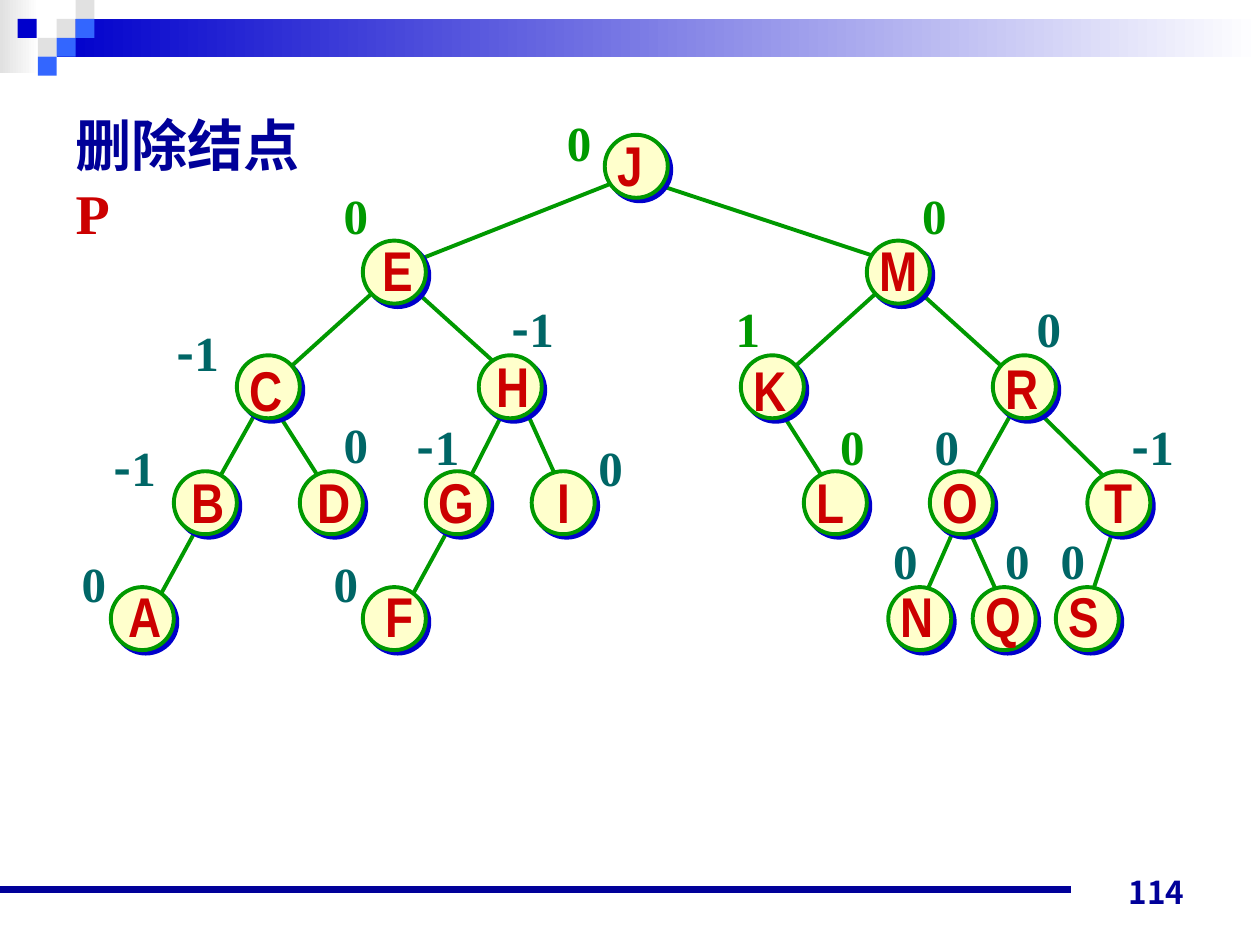
from lxml import etree
from pptx import Presentation
from pptx.dml.color import RGBColor
from pptx.enum.shapes import MSO_CONNECTOR, MSO_SHAPE
from pptx.enum.text import MSO_ANCHOR, MSO_AUTO_SIZE, PP_ALIGN
from pptx.oxml.ns import qn
from pptx.util import Inches, Pt

STRAIGHT, RECT, OVAL = MSO_CONNECTOR.STRAIGHT, MSO_SHAPE.RECTANGLE, MSO_SHAPE.OVAL

COLORS = {
    "navy": "000099", "blue": "0000CC", "sky": "3366FF", "grey": "E1E1E1",
    "white": "FFFFFF", "red": "CC0000", "green": "009900", "teal": "006666",
    "cream": "FFFFCC",
}
SERIF, NARROW, CJK, CJK_NUMBER = (
    "Times New Roman", "Arial Narrow", "Noto Sans CJK SC", "Noto Sans CJK JP")

# Header: gradient bars and small squares
BARS = [("grey", 0, 0, 0.31, 0.58), ("blue", 0.45, 0.15, 9.55, 0.3)]
SQUARE = 0.15
SQUARES = [("grey", 0.45, 0.15), ("grey", 0.6, 0), ("sky", 0.6, 0.15),
           ("grey", 0.3, 0.3), ("blue", 0.14, 0.15), ("sky", 0.45, 0.3),
           ("sky", 0.3, 0.45)]

# Tree nodes by level: letter, circle left, letter left, letter width, letter top
NODE_SIZE = 0.5
LEVELS = [
    (1.07, [("J", 4.8, 4.8, 0.4, 0.99)]),
    (1.91, [("E", 2.88, 2.94, 0.44, 1.82), ("M", 6.88, 6.88, 0.51, 1.82)]),
    (2.82, [("C", 1.88, 1.88, 0.47, 2.77), ("H", 3.8, 3.84, 0.47, 2.74),
            ("K", 5.88, 5.88, 0.47, 2.77), ("R", 7.88, 7.88, 0.47, 2.76)]),
    (3.74, [("B", 1.38, 1.42, 0.47, 3.66), ("D", 2.38, 2.42, 0.47, 3.66),
            ("G", 3.38, 3.38, 0.48, 3.66), ("I", 4.22, 4.33, 0.3, 3.66),
            ("L", 6.38, 6.38, 0.58, 3.66), ("O", 7.38, 7.38, 0.48, 3.66),
            ("T", 8.63, 8.67, 0.42, 3.66)]),
    (4.66, [("A", 0.88, 0.92, 0.47, 4.57), ("F", 2.88, 2.96, 0.42, 4.57),
            ("N", 7.05, 7.05, 0.47, 4.57), ("Q", 7.72, 7.72, 0.48, 4.57),
            ("S", 8.38, 8.38, 0.44, 4.57)]),
]

# Branches: x, y at the parent, then x, y at the child
BRANCHES = [
    (4.97, 1.41, 3.3, 2.07), (5.05, 1.41, 7.05, 2.07),      # J-E, J-M
    (3.05, 2.24, 2.22, 2.99), (3.22, 2.24, 4.05, 2.99),     # E-C, E-H
    (7.05, 2.24, 6.22, 2.99), (7.3, 2.32, 8.13, 3.07),      # M-K, M-R
    (2.05, 3.24, 1.63, 3.99), (2.13, 3.16, 2.55, 3.82),     # C-B, C-D
    (4.05, 3.16, 3.63, 3.99), (4.13, 3.16, 4.47, 3.91),     # H-G, H-I
    (6.13, 3.16, 6.55, 3.82),                               # K-L
    (8.05, 3.24, 7.63, 3.99), (8.13, 3.16, 8.8, 3.82),      # R-O, R-T
    (1.63, 4.07, 1.22, 4.82), (3.63, 4.07, 3.22, 4.82),     # B-A, G-F
    (7.63, 4.07, 7.3, 4.82), (7.63, 4.07, 7.93, 4.74),      # O-N, O-Q
    (8.88, 4.07, 8.63, 4.82),                               # T-S
]

# Balance factors: value, left, top
BALANCES = {
    "green": [("0", 4.4, 0.84), ("0", 2.63, 1.42), ("0", 7.22, 1.42),
              ("1", 5.74, 2.32), ("0", 6.57, 3.26)],
    "teal": [("-1", 1.3, 2.51), ("-1", 3.96, 2.32), ("0", 8.13, 2.32),
             ("-1", 0.8, 3.42), ("0", 2.63, 3.24), ("-1", 3.21, 3.26),
             ("0", 4.65, 3.42), ("0", 7.32, 3.26), ("-1", 8.88, 3.26),
             ("0", 0.55, 4.34), ("0", 2.55, 4.34), ("0", 6.99, 4.16),
             ("0", 7.88, 4.16), ("0", 8.32, 4.16)],
}


def rgb(color):
    return RGBColor.from_string(COLORS[color])


def add_filled(slide, kind, color, *box):
    shape = slide.shapes.add_shape(kind, *map(Inches, box))
    shape.shadow.inherit = False
    shape.fill.solid()
    shape.fill.fore_color.rgb = rgb(color)
    shape.line.fill.background()
    return shape


def add_bar(slide, color, *box):
    fill = add_filled(slide, RECT, color, *box).fill
    fill.gradient()
    fill.gradient_angle = 0
    for stop, stop_color in zip(fill.gradient_stops, (color, "white")):
        stop.color.rgb = rgb(stop_color)


def add_line(slide, color, width, *ends):
    line = slide.shapes.add_connector(STRAIGHT, *map(Inches, ends))
    line.line.color.rgb = rgb(color)
    line.line.width = Pt(width)
    etree.SubElement(line._element.spPr, qn("a:effectLst"))


def add_node(slide, left, top):
    circle = add_filled(slide, OVAL, "cream", left, top, NODE_SIZE, NODE_SIZE)
    circle.line.color.rgb = rgb("green")
    circle.line.width = Pt(2.25)
    effects = circle._element.spPr.find(qn("a:effectLst"))
    shadow = etree.SubElement(effects, qn("a:outerShdw"), blurRad="0",
                              dist=str(Pt(2.8)), dir="2700000", algn="ctr",
                              rotWithShape="0")
    etree.SubElement(shadow, qn("a:srgbClr"), val=COLORS["blue"])


def format_run(run, font, size, color):
    run.font.name = font
    run.font.size = Pt(size)
    run.font.bold = True
    run.font.color.rgb = rgb(color)


def add_label(slide, runs, size, color, *box):
    frame = slide.shapes.add_textbox(*map(Inches, box)).text_frame
    frame.word_wrap = False
    frame.auto_size = MSO_AUTO_SIZE.SHAPE_TO_FIT_TEXT
    for text, font in runs:
        run = frame.paragraphs[0].add_run()
        run.text = text
        format_run(run, font, size, color)
    return frame


def add_title(slide):
    title = slide.shapes.title
    title.left, title.top, title.width, title.height = map(
        Inches, (0.5, 0.83, 2.26, 0.63))
    frame = title.text_frame
    frame.word_wrap = True
    frame.auto_size = MSO_AUTO_SIZE.SHAPE_TO_FIT_TEXT
    frame.vertical_anchor = MSO_ANCHOR.TOP
    frame.margin_right = Inches(0.3)  # sends the node name to the second line
    heading = frame.paragraphs[0]
    heading.alignment = PP_ALIGN.LEFT
    for text, color in (("删除结点", "navy"), ("P", "red")):
        run = heading.add_run()
        run.text = text
        format_run(run, SERIF, 32, color)
        etree.SubElement(run.font._element, qn("a:ea"), typeface=CJK)


def main():
    prs = Presentation()
    prs.slide_width, prs.slide_height = Inches(10), Inches(7.5)
    slide = prs.slides.add_slide(prs.slide_layouts[5])

    # Header, footer rule and page number
    for bar in BARS:
        add_bar(slide, *bar)
    for color, left, top in SQUARES:
        add_filled(slide, RECT, color, left, top, SQUARE, SQUARE)
    add_line(slide, "navy", 4.5, 0, 7.06, 8.5, 7.06)
    number = add_label(slide, [("114", CJK_NUMBER)], 18, "navy",
                       7.17, 6.78, 2.33, 0.5)
    number.word_wrap = True
    number.auto_size = MSO_AUTO_SIZE.NONE
    number.vertical_anchor = MSO_ANCHOR.BOTTOM
    number.paragraphs[0].alignment = PP_ALIGN.RIGHT

    add_title(slide)

    # Tree: branches behind the nodes
    for branch in BRANCHES:
        add_line(slide, "green", 2.25, *branch)
    for top, nodes in LEVELS:
        for letter, left, letter_left, letter_width, letter_top in nodes:
            add_node(slide, left, top)
            add_label(slide, [(letter, NARROW)], 32, "red",
                      letter_left, letter_top, letter_width, 0.63)

    # Balance factors
    for color, factors in BALANCES.items():
        for value, left, top in factors:
            runs = [(sign, CJK if sign == "-" else SERIF) for sign in value]
            width = 0.4 if len(value) == 1 else 0.59
            add_label(slide, runs, 28, color, left, top, width, 0.57)

    prs.save("out.pptx")


if __name__ == "__main__":
    main()
